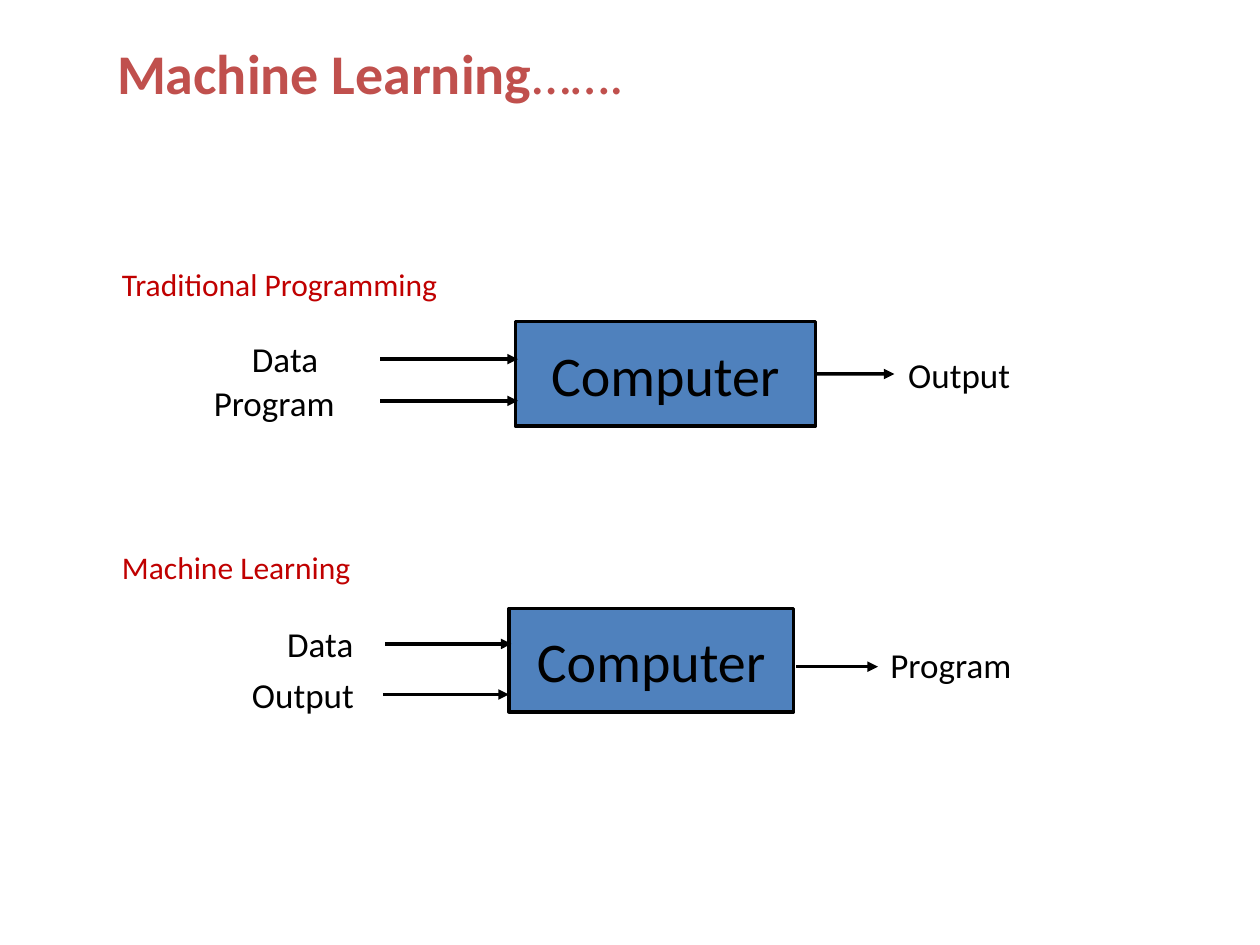
from dataclasses import dataclass

from lxml import etree
from pptx import Presentation
from pptx.dml.color import RGBColor
from pptx.enum.shapes import MSO_CONNECTOR, MSO_SHAPE
from pptx.enum.text import MSO_ANCHOR, MSO_AUTO_SIZE, PP_ALIGN
from pptx.oxml.ns import qn
from pptx.util import Cm, Pt

STRAIGHT = MSO_CONNECTOR.STRAIGHT
RECTANGLE = MSO_SHAPE.RECTANGLE
MIDDLE = MSO_ANCHOR.MIDDLE
FIT_SHAPE = MSO_AUTO_SIZE.SHAPE_TO_FIT_TEXT
CENTER = PP_ALIGN.CENTER
RIGHT_SIDE = 3


@dataclass(frozen=True)
class Theme:
    font: str = "Calibri"
    title_color: RGBColor = RGBColor(0xC0, 0x50, 0x4D)
    heading_color: RGBColor = RGBColor(0xC0, 0x00, 0x00)
    box_color: RGBColor = RGBColor(0x4F, 0x81, 0xBD)
    ink: RGBColor = RGBColor(0, 0, 0)
    large: Pt = Pt(32)
    label: Pt = Pt(20)
    heading: Pt = Pt(18)
    line: Pt = Pt(2)


theme = Theme()
presentation = Presentation()
presentation.slide_width, presentation.slide_height = Cm(25.4), Cm(19.05)
slide = presentation.slides.add_slide(presentation.slide_layouts[6])


def add_text(text, bounds, size, color, wrap=False):
    shape = slide.shapes.add_textbox(*map(Cm, bounds))
    shape.text_frame.word_wrap = wrap
    shape.text_frame.auto_size = FIT_SHAPE
    paragraph = shape.text_frame.paragraphs[0]
    paragraph.text = text
    paragraph.font.name = theme.font
    paragraph.font.size = size
    paragraph.font.color.rgb = color
    return shape


def add_arrow(left, right, y):
    arrow = slide.shapes.add_connector(STRAIGHT, Cm(left), Cm(y), Cm(right), Cm(y))
    arrow.line.color.rgb = theme.ink
    arrow.line.width = theme.line
    etree.SubElement(arrow.line._get_or_add_ln(), qn("a:tailEnd"), type="triangle")
    etree.SubElement(arrow._element.spPr, qn("a:effectLst"))
    return arrow


# Title: bold words followed by plain dots
title = add_text("", (2.11, 0.64, 21.39, 1.63), theme.large, theme.title_color, True)
title.text_frame.auto_size = MSO_AUTO_SIZE.NONE
title.text_frame.vertical_anchor = MIDDLE
for text, bold in (("Machine Learning", True), ("…….", False)):
    run = title.text_frame.paragraphs[0].add_run()
    run.text = text
    run.font.name = theme.font
    run.font.size = theme.large
    run.font.color.rgb = theme.title_color
    run.font.bold = bold

# Each flow: heading, computer box, labels (text, left, top, width),
# input arrows and output arrow (left, right, y)
flows = [
    {
        "heading": ("Traditional Programming", (2.21, 5.21, 8.69, 1.02)),
        "box": (10.39, 6.48, 6.05, 2.11),
        "labels": [("Data", 4.83, 6.68, 2.18), ("Program", 4.06, 7.57, 3.51),
                   ("Output", 18.06, 7.01, 2.87)],
        "inputs": [(7.67, 10.44, 7.24), (7.67, 10.44, 8.08)],
        "output": (16.44, 18.03, 7.54),
        "joined": True,
    },
    {
        "heading": ("Machine Learning", (2.21, 10.92, 5.94, 1.02)),
        "box": (10.26, 12.27, 5.74, 2.08),
        "labels": [("Data", 5.54, 12.42, 2.01), ("Output", 4.83, 13.46, 2.64),
                   ("Program", 17.7, 12.85, 3.25)],
        "inputs": [(7.77, 10.31, 12.98), (7.72, 10.26, 14)],
        "output": (16.05, 17.7, 13.44),
        "joined": False,
    },
]

for flow in flows:
    # Computer box
    box = slide.shapes.add_shape(RECTANGLE, *map(Cm, flow["box"]))
    box.shadow.inherit = False
    box.fill.solid()
    box.fill.fore_color.rgb = theme.box_color
    box.line.color.rgb = theme.ink
    box.line.width = theme.line
    box.text_frame.word_wrap = False
    box.text_frame.vertical_anchor = MIDDLE
    paragraph = box.text_frame.paragraphs[0]
    paragraph.text = "Computer"
    paragraph.alignment = CENTER
    paragraph.font.name = theme.font
    paragraph.font.size = theme.large
    paragraph.font.color.rgb = theme.ink

    # Arrows in and out
    for left, right, y in flow["inputs"]:
        add_arrow(left, right, y)
    output_arrow = add_arrow(*flow["output"])
    if flow["joined"]:
        output_arrow.begin_connect(box, RIGHT_SIDE)

    # Labels and heading
    for text, left, top, width in flow["labels"]:
        add_text(text, (left, top, width, 1.12), theme.label, theme.ink)
    heading, bounds = flow["heading"]
    add_text(heading, bounds, theme.heading, theme.heading_color, True)

presentation.save("out.pptx")
